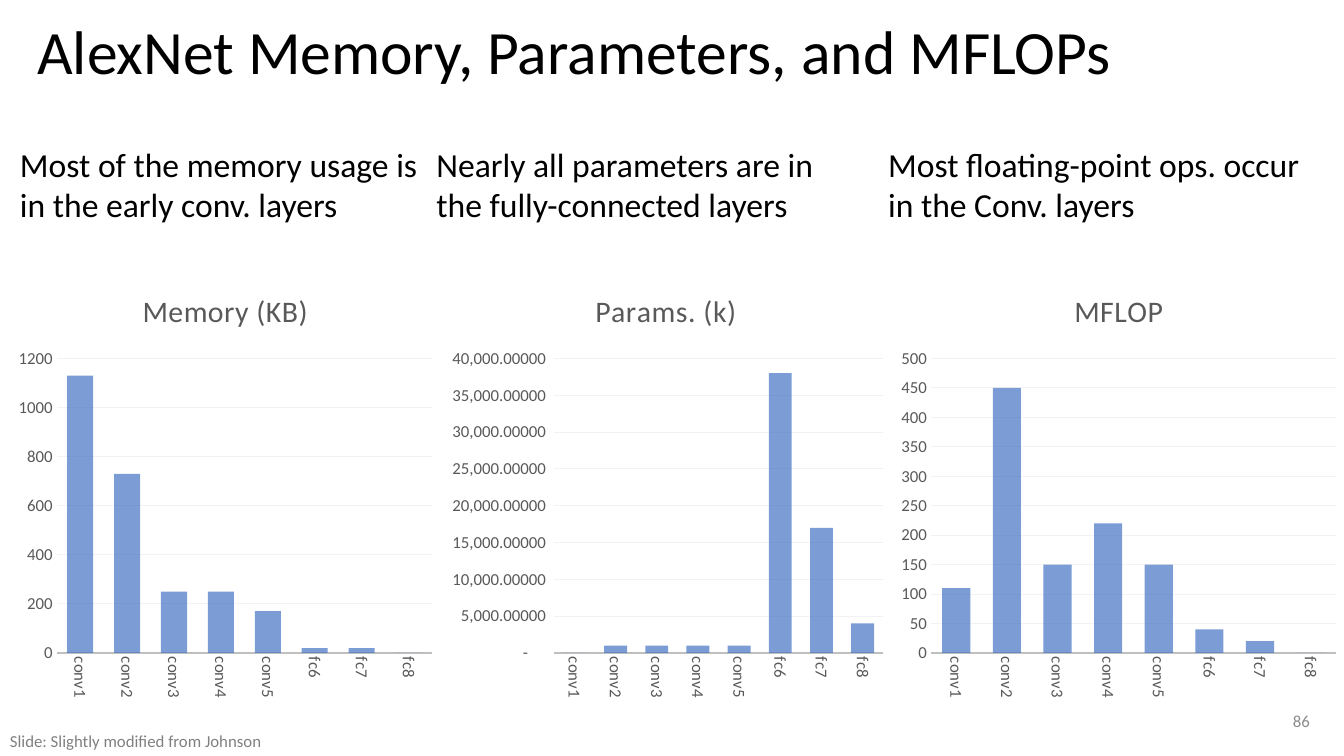
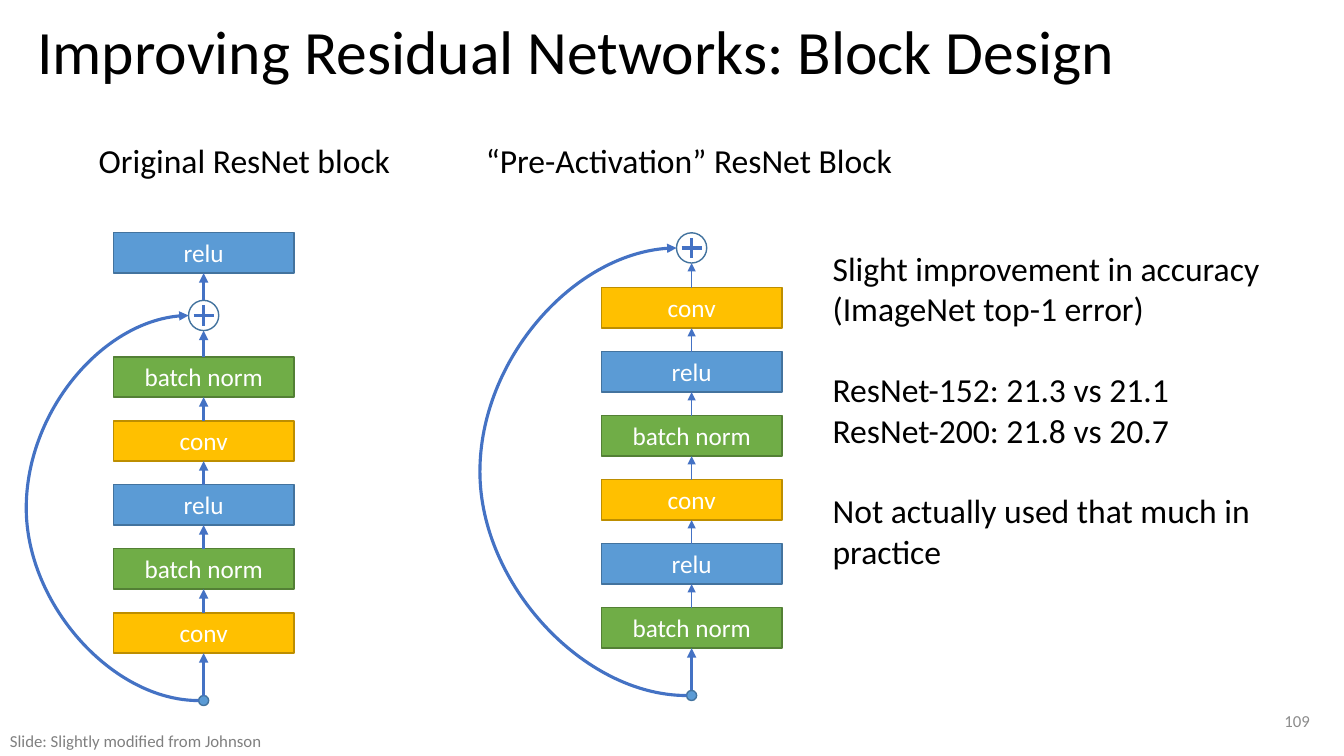
from dataclasses import dataclass
from typing import Optional

from lxml.etree import SubElement
from pptx import Presentation
from pptx.chart.data import CategoryChartData
from pptx.dml.color import RGBColor
from pptx.enum.chart import XL_CHART_TYPE, XL_TICK_MARK
from pptx.enum.shapes import MSO_CONNECTOR, MSO_SHAPE
from pptx.enum.text import MSO_ANCHOR, PP_ALIGN
from pptx.oxml.ns import qn
from pptx.shapes.autoshape import Shape
from pptx.shapes.connector import Connector
from pptx.slide import Slide
from pptx.text.text import Font, TextFrame
from pptx.util import Inches, Pt

FONT = "Calibri"
COLORS = {
    "text": "000000",
    "credit": "808080",
    "page": "8C8C8C",
    "axis_text": "595959",
    "axis": "BFBFBF",
    "grid": "F2F2F2",
    "accent": "4472C4",
    "white": "FFFFFF",
    "node": "5B9BD5",
    "node_line": "43739E",
}
LAYER_COLORS = {
    "conv": ("FFC000", "BD8E00"),
    "batch norm": ("70AD47", "538035"),
    "relu": (COLORS["node"], COLORS["node_line"]),
}
NETWORK_LAYERS = ["conv1", "conv2", "conv3", "conv4", "conv5", "fc6", "fc7", "fc8"]

LAYER_WIDTH, LAYER_HEIGHT, LAYER_PITCH = 1.79, 0.4, 0.635
SUM_RADIUS, PLUS_ARM, INPUT_RADIUS = 0.15, 0.1, 0.05
INPUT_DROP = 0.87
HEAVY, THIN = 2.25, 0.5


@dataclass(frozen=True)
class CostPanel:
    claim: tuple[str, ...]
    claim_left: float
    left: float
    width: float
    measure: str
    values: tuple[int, ...]
    top_value: int
    step: int
    number_format: str = "General"


@dataclass(frozen=True)
class ResidualBlock:
    """Layers run upwards; bottom is the top edge of the lowest layer."""
    center: float
    bottom: float
    layers: tuple[str, ...]
    sum_y: float
    skip_left: float
    arrow_weight: float
    final_top: Optional[float] = None


COST_PANELS = (
    CostPanel(("Most of the memory usage is in the early conv. layers",), 0.1, 0.1, 4.27,
              "Memory (KB)", (1130, 730, 250, 250, 170, 20, 20, 0), 1200, 200),
    CostPanel(("Nearly all parameters are in", "the fully-connected layers"), 4.23, 4.36, 4.49,
              "Params. (k)", (0, 1000, 1000, 1000, 1000, 38000, 17000, 4000), 40000, 5000,
              '_(* #,##0.00000_);_(* \\(#,##0.00000\\);_(* "-"??_);_(@_)'),
    CostPanel(("Most floating-point ops. occur in the Conv. layers",), 8.71, 8.85, 4.49,
              "MFLOP", (110, 450, 150, 220, 150, 40, 20, 0), 500, 50),
)
ORIGINAL_BLOCK = ResidualBlock(
    2.02, 6.08, ("conv", "batch norm", "relu", "conv", "batch norm"), 3.13, 0.26, HEAVY, 2.31)
PRE_ACTIVATION_BLOCK = ResidualBlock(
    6.86, 6.03, ("batch norm", "relu", "conv") * 2, 2.46, 4.76, THIN)


def rgb(value: str) -> RGBColor:
    return RGBColor.from_string(value)


def set_font(font: Font, size: float, color: str) -> None:
    font.name = FONT
    font.size = Pt(size)
    font.color.rgb = rgb(color)


def write_text(frame: TextFrame, *lines: str, size: float = 24, color: str = COLORS["text"],
               align: PP_ALIGN = PP_ALIGN.LEFT, anchor: MSO_ANCHOR = MSO_ANCHOR.TOP,
               wrap: bool = True, line_spacing: float = 1.0,
               gap_before: tuple[int, ...] = ()) -> None:
    """Write one paragraph per line; lines indexed by gap_before start a new group."""
    frame.word_wrap = wrap
    frame.vertical_anchor = anchor
    for index, line in enumerate(lines):
        paragraph = frame.paragraphs[0] if index == 0 else frame.add_paragraph()
        paragraph.alignment = align
        paragraph.line_spacing = line_spacing
        if index in gap_before:
            paragraph.space_before = Pt(29)
        run = paragraph.add_run()
        run.text = line
        set_font(run.font, size, color)


def add_text(slide: Slide, left: float, top: float, width: float, height: float,
             *lines: str, **text_format) -> None:
    box = slide.shapes.add_textbox(Inches(left), Inches(top), Inches(width), Inches(height))
    write_text(box.text_frame, *lines, **text_format)


def add_titled_slide(deck: Presentation, title: str, page: int) -> Slide:
    slide = deck.slides.add_slide(deck.slide_layouts[5])
    heading = slide.shapes.title
    heading.left, heading.top = Inches(0.27), Inches(0.15)
    heading.width, heading.height = Inches(12.82), Inches(0.78)
    write_text(heading.text_frame, title, size=44, anchor=MSO_ANCHOR.MIDDLE, line_spacing=0.9)
    add_text(slide, 0, 7.2, 2.72, 0.3, "Slide: Slightly modified from Johnson",
             size=12, color=COLORS["credit"], wrap=False)
    add_text(slide, 12.53, 6.95, 0.56, 0.4, str(page), size=12, color=COLORS["page"],
             align=PP_ALIGN.RIGHT, anchor=MSO_ANCHOR.MIDDLE)
    return slide


def add_cost_chart(slide: Slide, panel: CostPanel) -> None:
    data = CategoryChartData(number_format=panel.number_format)
    data.categories = NETWORK_LAYERS
    data.add_series(panel.measure, panel.values)
    chart = slide.shapes.add_chart(
        XL_CHART_TYPE.COLUMN_CLUSTERED, Inches(panel.left), Inches(2.69),
        Inches(panel.width), Inches(4.32), data).chart
    set_font(chart.font, 10, COLORS["text"])
    chart.has_legend = False
    chart.has_title = True
    chart.chart_title.include_in_layout = False
    heading = chart.chart_title.text_frame.paragraphs[0].add_run()
    heading.text = panel.measure
    set_font(heading.font, 21.3, COLORS["axis_text"])
    heading.font.bold = False
    heading.font._element.set("spc", "50")

    plot = chart.plots[0]
    plot.vary_by_categories = False
    plot.gap_width, plot.overlap = 80, 25
    bars = plot.series[0].format.fill
    bars.solid()
    bars.fore_color.rgb = rgb(COLORS["accent"])
    for color in plot.series[0]._element.iter(qn("a:srgbClr")):
        SubElement(color, qn("a:alpha")).set("val", "70000")

    layers, amounts = chart.category_axis, chart.value_axis
    for axis in (layers, amounts):
        axis.major_tick_mark = axis.minor_tick_mark = XL_TICK_MARK.NONE
        set_font(axis.tick_labels.font, 12, COLORS["axis_text"])
    layers.format.line.color.rgb = rgb(COLORS["axis"])
    layers.format.line.width = Pt(1.25)
    label_body = layers._element.find(qn("c:txPr")).find(qn("a:bodyPr"))
    label_body.set("rot", "5400000")
    label_body.set("vert", "horz")
    amounts.format.line.fill.background()
    amounts.minimum_scale, amounts.maximum_scale = 0, panel.top_value
    amounts.major_unit = panel.step
    amounts.tick_labels.number_format = panel.number_format
    amounts.tick_labels.number_format_is_linked = False
    amounts.major_gridlines.format.line.color.rgb = rgb(COLORS["grid"])
    amounts.major_gridlines.format.line.width = Pt(0.75)


def add_outlined(slide: Slide, kind: MSO_SHAPE, left: float, top: float, width: float,
                 height: float, line: str, fill: Optional[str] = None) -> Shape:
    shape = slide.shapes.add_shape(
        kind, Inches(left), Inches(top), Inches(width), Inches(height))
    shape.shadow.inherit = False
    if fill:
        shape.fill.solid()
        shape.fill.fore_color.rgb = rgb(fill)
    else:
        shape.fill.background()
    shape.line.color.rgb = rgb(line)
    shape.line.width = Pt(1)
    return shape


def add_circle(slide: Slide, x: float, y: float, radius: float,
               fill: Optional[str] = None) -> None:
    add_outlined(slide, MSO_SHAPE.OVAL, x - radius, y - radius, 2 * radius, 2 * radius,
                 COLORS["node_line"], fill)


def add_line(slide: Slide, x1: float, y1: float, x2: float, y2: float, weight: float = HEAVY,
             arrow: bool = True, kind: MSO_CONNECTOR = MSO_CONNECTOR.STRAIGHT) -> Connector:
    connector = slide.shapes.add_connector(kind, Inches(x1), Inches(y1), Inches(x2), Inches(y2))
    connector.line.color.rgb = rgb(COLORS["accent"])
    connector.line.width = Pt(weight)
    if arrow:
        SubElement(connector.line._get_or_add_ln(), qn("a:tailEnd")).set("type", "triangle")
    SubElement(connector._element.spPr, qn("a:effectLst"))
    return connector


def add_skip_curve(slide: Slide, block: ResidualBlock, input_y: float) -> None:
    """Bow out to the left from the input dot up to the sum node."""
    start, end = block.center - INPUT_RADIUS, block.center - SUM_RADIUS
    curve = add_line(slide, end, block.sum_y, start, input_y, kind=MSO_CONNECTOR.CURVE)
    properties = curve._element.spPr
    properties.find(qn("a:xfrm")).set("rot", "10800000")
    bend = round((start - block.skip_left) / (start - end) * 100000)
    geometry = properties.find(qn("a:prstGeom"))
    adjustments = geometry.find(qn("a:avLst"))
    if adjustments is None:
        adjustments = SubElement(geometry, qn("a:avLst"))
    guide = SubElement(adjustments, qn("a:gd"))
    guide.set("name", "adj1")
    guide.set("fmla", f"val {bend}")


def add_layer(slide: Slide, center: float, top: float, name: str) -> None:
    fill, line = LAYER_COLORS[name]
    layer = add_outlined(slide, MSO_SHAPE.RECTANGLE, center - LAYER_WIDTH / 2, top,
                         LAYER_WIDTH, LAYER_HEIGHT, line, fill)
    write_text(layer.text_frame, name, size=18, color=COLORS["white"], align=PP_ALIGN.CENTER)


def draw_block(slide: Slide, block: ResidualBlock) -> None:
    x, sum_y = block.center, block.sum_y
    input_y = block.bottom + INPUT_DROP
    tops = [block.bottom - LAYER_PITCH * index for index in range(len(block.layers))]
    for name, top in zip(block.layers, tops):
        add_layer(slide, x, top, name)
    targets = [top + LAYER_HEIGHT for top in tops[1:]] + [sum_y + SUM_RADIUS]
    for top, target in zip(tops, targets):
        add_line(slide, x, top, x, target, block.arrow_weight)

    add_circle(slide, x, sum_y, SUM_RADIUS)
    add_line(slide, x, sum_y - PLUS_ARM, x, sum_y + PLUS_ARM, arrow=False)
    add_line(slide, x - PLUS_ARM, sum_y, x + PLUS_ARM, sum_y, arrow=False)
    if block.final_top is not None:
        add_layer(slide, x, block.final_top, "relu")
        add_line(slide, x, sum_y - SUM_RADIUS, x, block.final_top + LAYER_HEIGHT)

    add_circle(slide, x, input_y, INPUT_RADIUS, COLORS["node"])
    add_line(slide, x, input_y - INPUT_RADIUS, x, block.bottom + LAYER_HEIGHT)
    add_skip_curve(slide, block, input_y)


def build_cost_slide(deck: Presentation) -> None:
    slide = add_titled_slide(deck, "AlexNet Memory, Parameters, and MFLOPs", 86)
    for panel in COST_PANELS:
        add_text(slide, panel.claim_left, 1.38, panel.width, 0.91, *panel.claim)
        add_cost_chart(slide, panel)


def build_block_slide(deck: Presentation) -> None:
    slide = add_titled_slide(deck, "Improving Residual Networks: Block Design", 109)
    add_text(slide, 0.88, 1.34, 3.12, 0.5, "Original ResNet block", wrap=False)
    add_text(slide, 4.72, 1.34, 4.27, 0.5, "“Pre-Activation” ResNet Block")
    for block in (ORIGINAL_BLOCK, PRE_ACTIVATION_BLOCK):
        draw_block(slide, block)
    add_text(slide, 8.16, 2.41, 4.77, 3.33,
             "Slight improvement in accuracy", "(ImageNet top-1 error)",
             "ResNet-152: 21.3 vs 21.1", "ResNet-200: 21.8 vs 20.7",
             "Not actually used that much in", "practice", gap_before=(2, 4))


def main() -> None:
    deck = Presentation()
    deck.slide_width, deck.slide_height = Inches(13.33), Inches(7.5)
    build_cost_slide(deck)
    build_block_slide(deck)
    deck.save("out.pptx")


if __name__ == "__main__":
    main()
